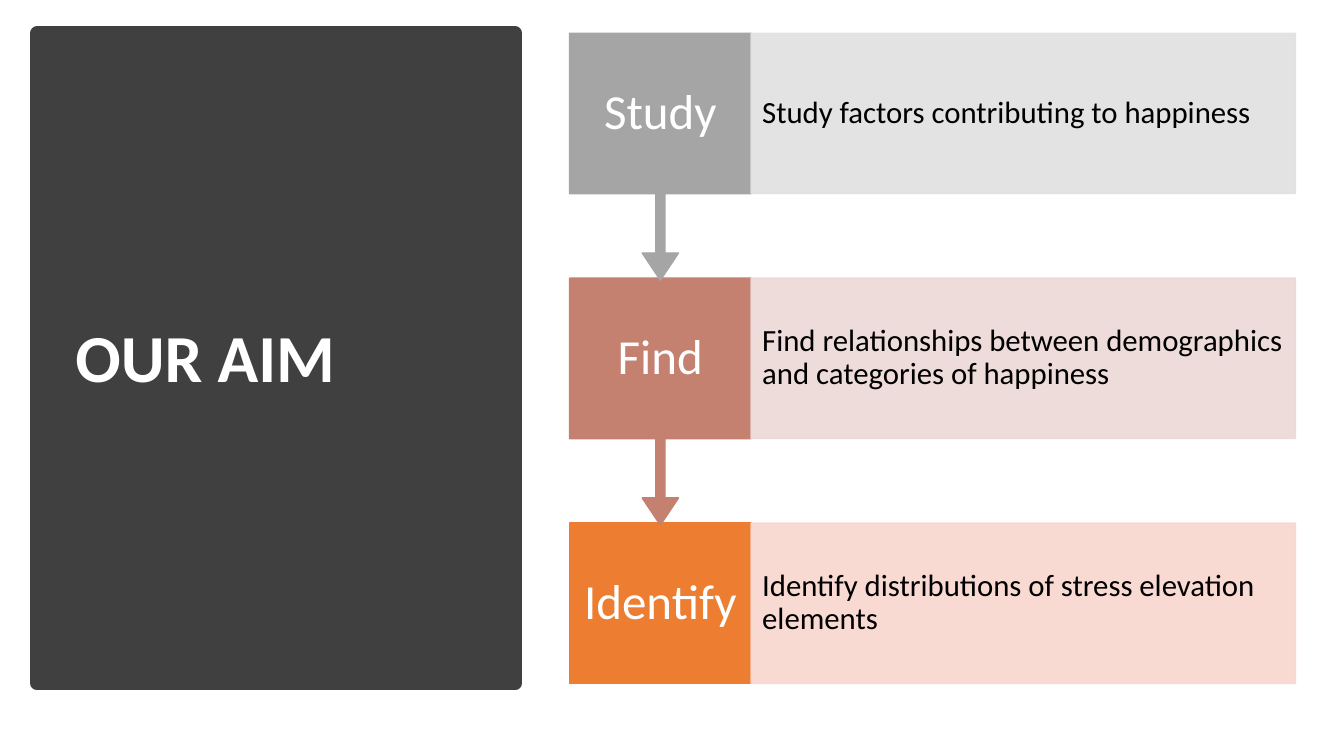
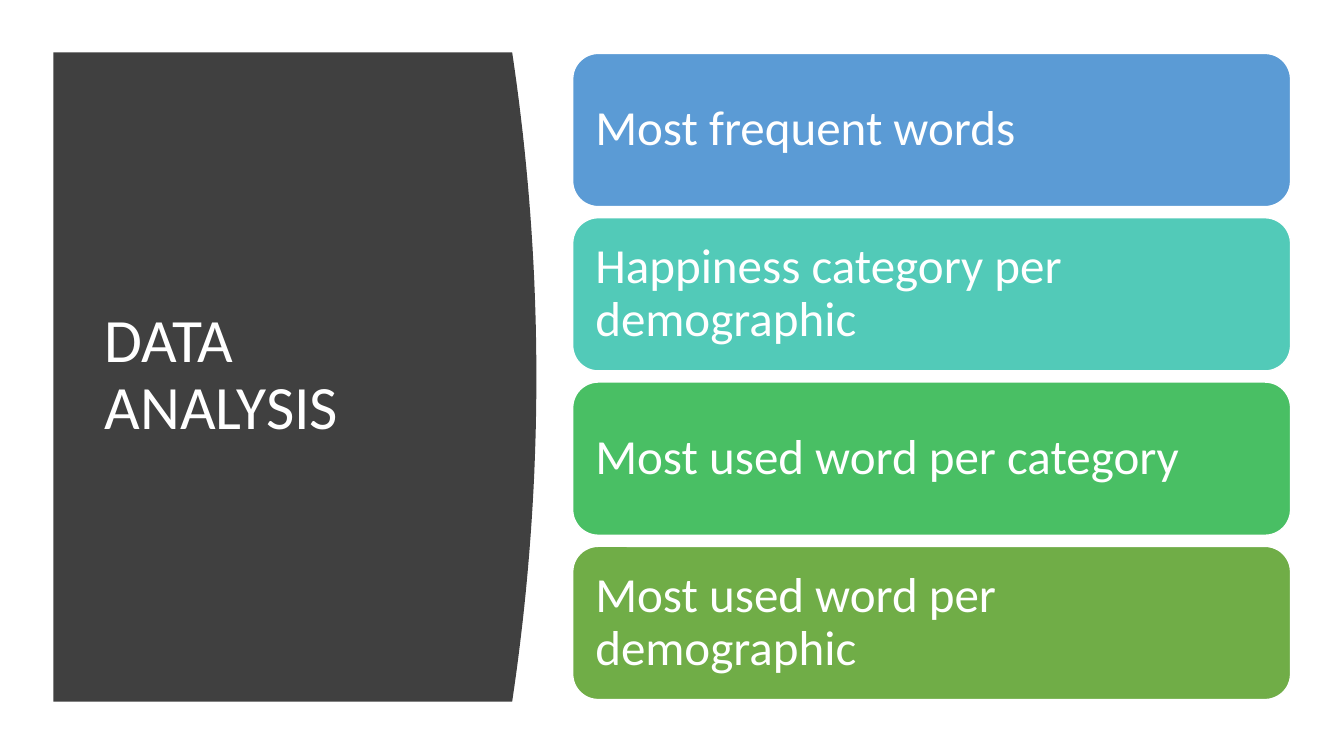
from lxml import etree
from pptx import Presentation
from pptx.dml.color import RGBColor
from pptx.enum.shapes import MSO_SHAPE
from pptx.enum.text import MSO_ANCHOR, PP_ALIGN
from pptx.oxml.ns import qn
from pptx.util import Pt

PX = 9144  # 100 px to the inch
FONT = "Calibri"

RECT = MSO_SHAPE.RECTANGLE
ROUNDED = MSO_SHAPE.ROUNDED_RECTANGLE
DOWN_CALLOUT = MSO_SHAPE.DOWN_ARROW_CALLOUT
MIDDLE = MSO_ANCHOR.MIDDLE
LEFT, CENTER = PP_ALIGN.LEFT, PP_ALIGN.CENTER

WHITE = RGBColor(0xFF, 0xFF, 0xFF)
BLACK = RGBColor(0x00, 0x00, 0x00)
CHARCOAL = RGBColor(0x40, 0x40, 0x40)
GRAY = RGBColor(0xA5, 0xA5, 0xA5)
PALE_GRAY = RGBColor(0xE1, 0xE1, 0xE1)
CLAY = RGBColor(0xC4, 0x81, 0x70)
PALE_CLAY = RGBColor(0xED, 0xD9, 0xD7)
ORANGE = RGBColor(0xED, 0x7D, 0x31)
PALE_ORANGE = RGBColor(0xF8, 0xD7, 0xCE)
BLUE = RGBColor(0x5B, 0x9B, 0xD5)
TEAL = RGBColor(0x52, 0xCA, 0xB8)
GREEN = RGBColor(0x49, 0xBF, 0x64)
OLIVE = RGBColor(0x70, 0xAD, 0x47)

STEPS = [
    ("Study", "Study factors contributing to happiness", GRAY, PALE_GRAY),
    ("Find", "Find relationships between demographics and categories of happiness",
     CLAY, PALE_CLAY),
    ("Identify", "Identify distributions of stress elevation elements",
     ORANGE, PALE_ORANGE),
]
ANALYSES = [
    ("Most frequent words", BLUE),
    ("Happiness category per demographic", TEAL),
    ("Most used word per category", GREEN),
    ("Most used word per demographic", OLIVE),
]


def write(shape, text, size=35, color=WHITE, bold=False, align=LEFT, inset=(10, 5)):
    """Fill a shape with one paragraph; inset is (sides, top and bottom) in px."""
    tf = shape.text_frame
    tf.word_wrap = True
    tf.vertical_anchor = MIDDLE
    tf.margin_left = tf.margin_right = inset[0] * PX
    tf.margin_top = tf.margin_bottom = inset[1] * PX
    p = tf.paragraphs[0]
    p.alignment = align
    p.line_spacing = 0.9
    r = p.add_run()
    r.text = text
    r.font.name = FONT
    r.font.size = Pt(size)
    r.font.bold = bold
    r.font.color.rgb = color


class Deck:
    def __init__(self):
        self.prs = Presentation()
        self.prs.slide_width = 1333 * PX
        self.prs.slide_height = 750 * PX
        self.s = None

    def slide(self):
        self.s = self.prs.slides.add_slide(self.prs.slide_layouts[6])

    def paint(self, sp, fill, line=None, width=1, opacity=100):
        sp.shadow.inherit = False
        sp.fill.solid()
        sp.fill.fore_color.rgb = fill
        if line is None:
            sp.line.fill.background()
        else:
            sp.line.color.rgb = line
            sp.line.width = Pt(width)
        if opacity < 100:
            for color in sp._element.spPr.iter(qn("a:srgbClr")):
                etree.SubElement(color, qn("a:alpha"), val=str(opacity * 1000))

    def box(self, kind, x, y, w, h, fill, **style):
        sp = self.s.shapes.add_shape(kind, x * PX, y * PX, w * PX, h * PX)
        self.paint(sp, fill, **style)
        return sp

    def title(self, text, x, y, w, h, **style):
        tb = self.s.shapes.add_textbox(x * PX, y * PX, w * PX, h * PX)
        write(tb, text, **style)

    def callout(self, x, y, w, h, fill):
        """Box with a down arrow that reaches to the next step."""
        sp = self.box(DOWN_CALLOUT, x, y, w, h, fill, line=fill)
        for i, value in enumerate((0.05, 0.1, 0.15, 0.65)):
            sp.adjustments[i] = value
        return sp

    def curved_panel(self, x, y, w, h, bulge, fill, segments=40):
        """Rectangle whose right side is a parabola standing out by bulge px."""
        edge = []
        for i in range(segments + 1):
            t = i / segments
            edge.append(((x + w - bulge * (2 * t - 1) ** 2) * PX, (y + h * t) * PX))
        builder = self.s.shapes.build_freeform(x * PX, y * PX)
        builder.add_line_segments(edge + [(x * PX, (y + h) * PX)], close=True)
        self.paint(builder.convert_to_shape(), fill)


def aim_slide(deck):
    deck.slide()
    deck.box(RECT, 37, 33, 474, 645, CHARCOAL, line=CHARCOAL, width=10)
    deck.title("OUR AIM", 65, 70, 416, 575, size=48, bold=True)

    left, top, pitch = 565, 33, 243
    verb_w, detail_w, row_h, callout_h = 180, 540, 159, 245
    last = len(STEPS) - 1
    # Bottom row first, so that each arrow tip lies over the next box
    for i in range(last, -1, -1):
        verb, detail, color, tint = STEPS[i]
        y = top + i * pitch
        if i == last:
            sp = deck.box(RECT, left, y, verb_w, row_h, color, line=color)
        else:
            sp = deck.callout(left, y, verb_w, callout_h, color)
        write(sp, verb, align=CENTER, inset=(13, 27))
        sp = deck.box(RECT, left + verb_w, y, detail_w, row_h, tint,
                      line=tint, opacity=90)
        write(sp, detail, size=22, color=BLACK, inset=(11, 31))


def analysis_slide(deck):
    deck.slide()
    deck.curved_panel(53, 52, 479, 644, 24, CHARCOAL)
    deck.title("DATA ANALYSIS", 94, 111, 374, 524, size=44)

    top, pitch = 53, 163
    for i, (text, color) in enumerate(ANALYSES):
        sp = deck.box(ROUNDED, 568, top + i * pitch, 712, 152, color, line=WHITE)
        write(sp, text, inset=(15, 15))


def main():
    deck = Deck()
    aim_slide(deck)
    analysis_slide(deck)
    deck.prs.save("out.pptx")


if __name__ == "__main__":
    main()
